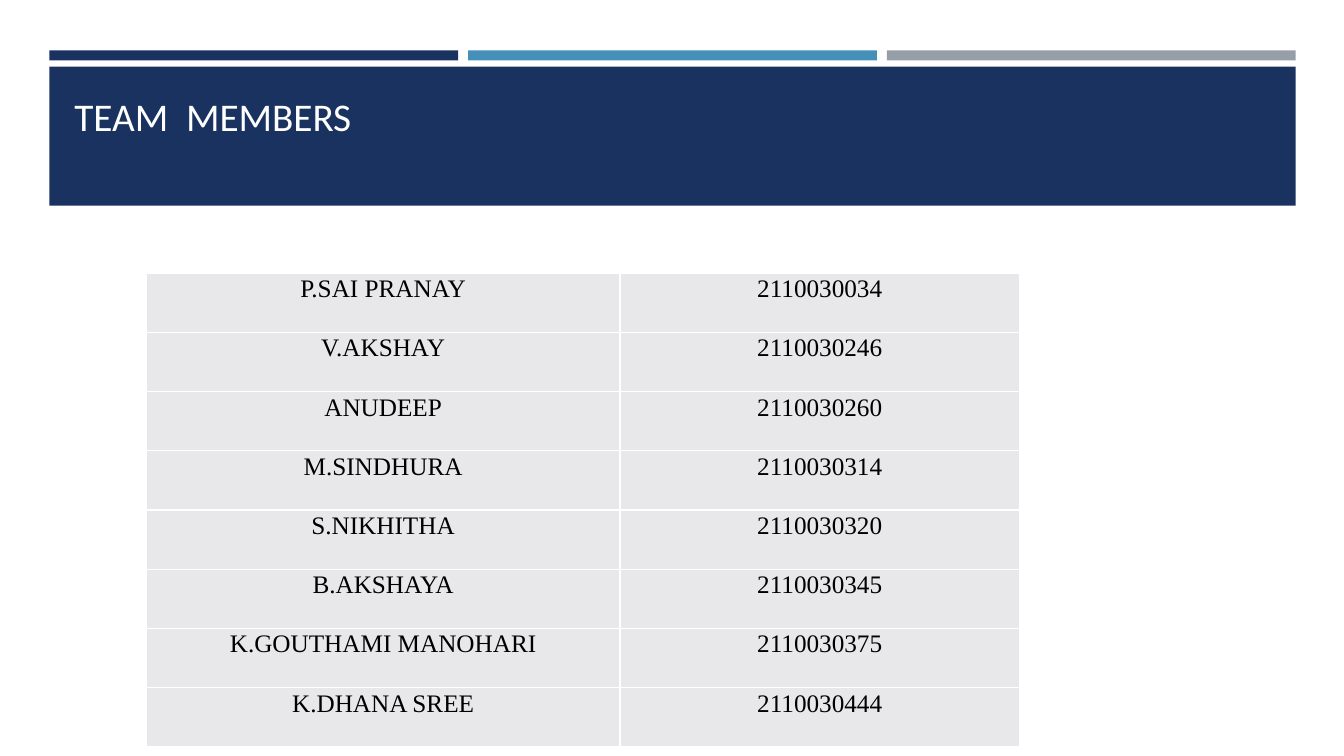
from lxml import etree
from pptx import Presentation
from pptx.dml.color import RGBColor
from pptx.enum.shapes import MSO_SHAPE
from pptx.enum.text import MSO_ANCHOR, PP_ALIGN
from pptx.oxml.ns import qn
from pptx.util import Inches, Pt

RECT = MSO_SHAPE.RECTANGLE
TOP = MSO_ANCHOR.TOP
LEFT, CENTER = PP_ALIGN.LEFT, PP_ALIGN.CENTER

NAVY = RGBColor(0x1A, 0x32, 0x60)
BLUE = RGBColor(0x45, 0x90, 0xB8)
GREY = RGBColor(0x96, 0x9F, 0xA7)
PALE = RGBColor(0xE8, 0xE8, 0xEA)
WHITE = RGBColor(0xFF, 0xFF, 0xFF)
BLACK = RGBColor(0, 0, 0)

TITLE = "TEAM  MEMBERS"
MEMBERS = [
    ("P.SAI PRANAY", "2110030034"),
    ("V.AKSHAY", "2110030246"),
    ("ANUDEEP", "2110030260"),
    ("M.SINDHURA", "2110030314"),
    ("S.NIKHITHA", "2110030320"),
    ("B.AKSHAYA", "2110030345"),
    ("K.GOUTHAMI MANOHARI", "2110030375"),
    ("K.DHANA SREE", "2110030444"),
]
STRIPES = [NAVY, BLUE, GREY]
TITLE_FONT = {"name": "Calibri", "size": Pt(28)}
CELL_FONT = {"name": "Times New Roman", "size": Pt(18)}

BAND_LEFT, BAND_WIDTH, STRIPE_GAP = 0.49, 12.36, 0.1
TABLE_LEFT, TABLE_TOP, TABLE_HEIGHT = 1.45, 2.71, 4.7
COLUMNS = [4.7, 3.96]


def box(*lengths):
    return [Inches(v) for v in lengths]


def add_bar(s, color, *place):
    sp = s.shapes.add_shape(RECT, *box(*place))
    sp.shadow.inherit = False
    sp.fill.solid()
    sp.fill.fore_color.rgb = color
    sp.line.fill.background()


def write(p, text, font, color, align):
    p.alignment = align
    r = p.add_run()
    r.text = text
    for key, value in font.items():
        setattr(r.font, key, value)
    r.font.color.rgb = color


def add_borders(cell, color):
    tcPr = cell._tc.get_or_add_tcPr()
    for side in ("a:lnL", "a:lnR", "a:lnT", "a:lnB"):
        ln = etree.SubElement(tcPr, qn(side), w=str(Pt(1)))
        fill = etree.SubElement(ln, qn("a:solidFill"))
        etree.SubElement(fill, qn("a:srgbClr"), val=str(color))


def add_title(s):
    tf = s.shapes.add_textbox(*box(0.64, 0.8, 12.06, 1.08)).text_frame
    tf.word_wrap = True
    tf.vertical_anchor = TOP
    tf.margin_top = Inches(0.12)
    write(tf.paragraphs[0], TITLE, TITLE_FONT, WHITE, LEFT)


def add_members(s):
    place = box(TABLE_LEFT, TABLE_TOP, sum(COLUMNS), TABLE_HEIGHT)
    table = s.shapes.add_table(len(MEMBERS), len(COLUMNS), *place).table
    table.first_row = table.horz_banding = False
    for column, width in zip(table.columns, COLUMNS):
        column.width = Inches(width)
    for row, member in zip(table.rows, MEMBERS):
        row.height = Inches(TABLE_HEIGHT / len(MEMBERS))
        for cell, text in zip(row.cells, member):
            cell.margin_left = cell.margin_right = Inches(0.07)
            cell.margin_top = cell.margin_bottom = 0
            add_borders(cell, WHITE)
            cell.fill.solid()
            cell.fill.fore_color.rgb = PALE
            p = cell.text_frame.paragraphs[0]
            p.line_spacing = 1.07
            write(p, text, CELL_FONT, BLACK, CENTER)


def main():
    prs = Presentation()
    prs.slide_width, prs.slide_height = box(13.33, 7.5)
    s = prs.slides.add_slide(prs.slide_layouts[6])
    pitch = (BAND_WIDTH + STRIPE_GAP) / len(STRIPES)
    for i, color in enumerate(STRIPES):
        add_bar(s, color, BAND_LEFT + i * pitch, 0.5, pitch - STRIPE_GAP, 0.1)
    add_bar(s, NAVY, BAND_LEFT, 0.66, BAND_WIDTH, 1.38)
    add_title(s)
    add_members(s)
    prs.save("out.pptx")


if __name__ == "__main__":
    main()
